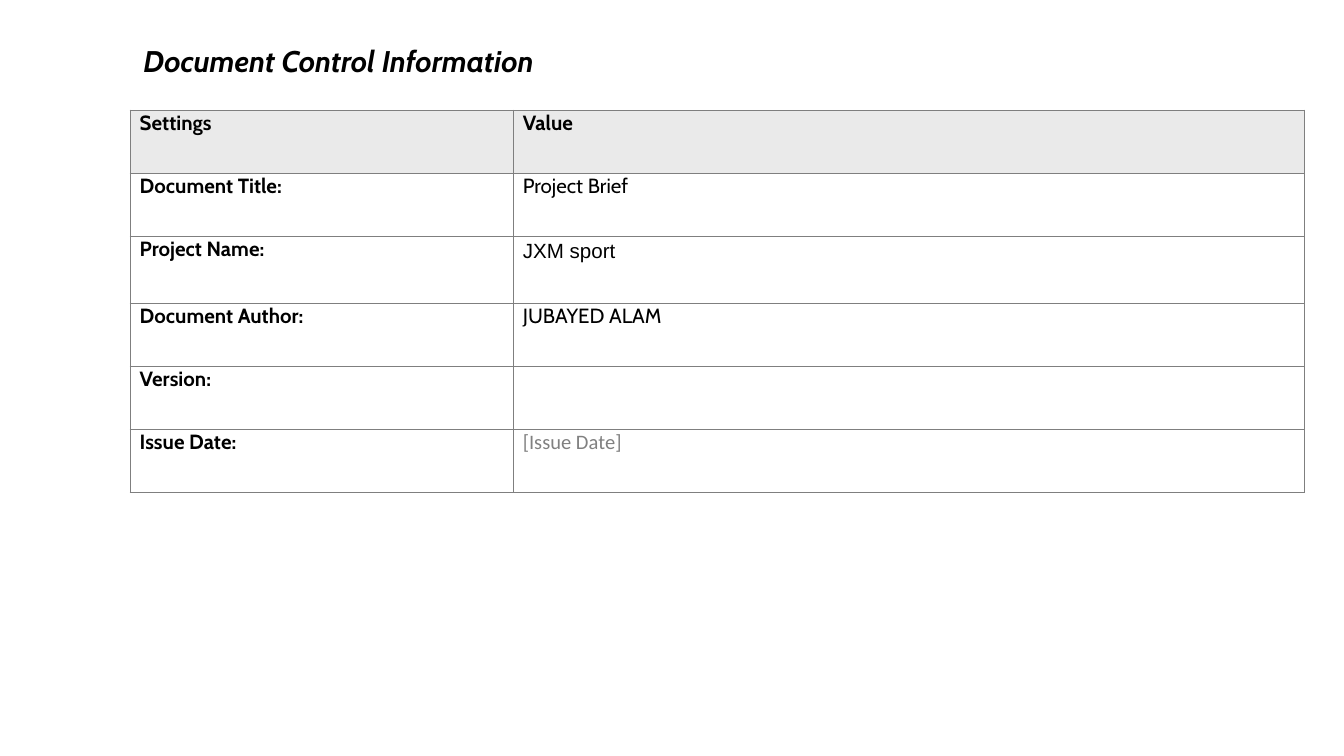
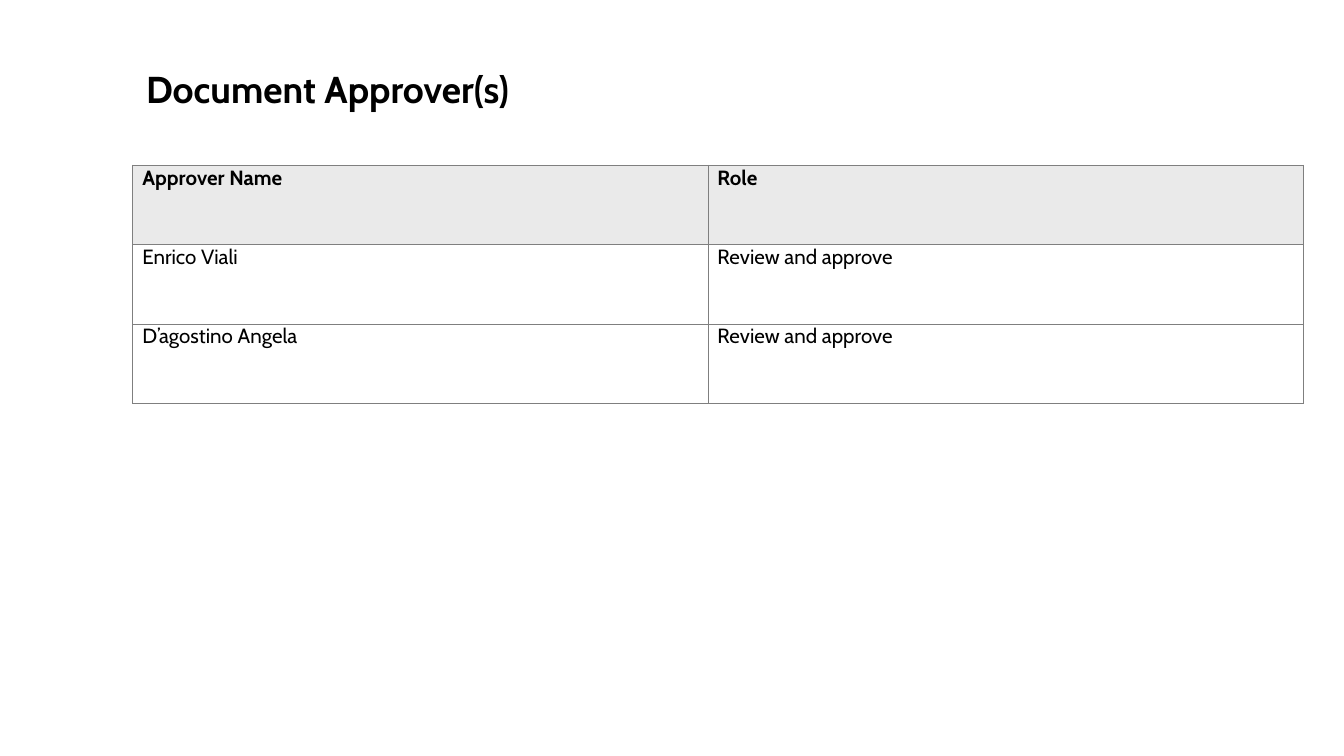
from lxml import etree
from pptx import Presentation
from pptx.dml.color import RGBColor
from pptx.enum.text import MSO_ANCHOR, MSO_AUTO_SIZE, PP_ALIGN
from pptx.oxml.ns import qn
from pptx.util import Cm, Pt

LEFT, JUSTIFY = PP_ALIGN.LEFT, PP_ALIGN.JUSTIFY
MIDDLE, NO_FIT = MSO_ANCHOR.MIDDLE, MSO_AUTO_SIZE.NONE
BLACK = RGBColor(0x00, 0x00, 0x00)
HINT_GREY = RGBColor(0x80, 0x80, 0x80)
HEADER_GREY = RGBColor(0xEA, 0xEA, 0xEA)
BORDER_GREY = RGBColor(0x7F, 0x7F, 0x7F)
TITLE_ONLY = 5
SIDES = ("left", "top", "right", "bottom")

# Content: positions in cm, the first table row is the header
PAGES = [
    {
        "title": "Document Control Information",
        "title_area": (2.46, 0.25, 10.01, 1.8),
        "title_font": {"size": Pt(16), "italic": True},
        "table_at": (2.46, 2.08),
        "columns": (7.24, 14.96),
        "row_heights": (1.19, 1.19, 1.27, 1.19, 1.19, 1.19),
        "bold_labels": True,
        "rows": [
            ("Settings", "Value"),
            ("Document Title:", "Project Brief"),
            ("Project Name:", "JXM sport"),
            ("Document Author:", "JUBAYED ALAM"),
            ("Version:", ""),
            ("Issue Date:", "[Issue Date]"),
        ],
        "special": {
            (2, 1): ({"name": "Arial"}, {"alignment": LEFT, "line_spacing": 1.15}),
            (5, 1): ({"name": "Calibri", "color": HINT_GREY}, {}),
        },
    },
    {
        "title": "Document Approver(s)",
        "title_area": (2.51, 0.51, 8.76, 2.31),
        "title_font": {"size": Pt(20), "italic": False},
        "table_at": (2.51, 3.12),
        "columns": (10.87, 11.25),
        "row_heights": (1.5, 1.5, 1.5),
        "bold_labels": False,
        "rows": [
            ("Approver Name", "Role"),
            ("Enrico Viali", "Review and approve"),
            ("D’agostino Angela", "Review and approve"),
        ],
        "special": {},
    },
]


def write(para, text, font, layout):
    """Put one formatted span into a paragraph."""
    for name, value in layout.items():
        setattr(para, name, value)
    span = para.add_run()
    span.text = text
    for name, value in {"name": "Cabin", "color": BLACK, **font}.items():
        if name == "color":
            span.font.color.rgb = value
        else:
            setattr(span.font, name, value)


def add_borders(cell):
    """Draw a thin grey line on all four sides of a cell."""
    properties = cell._tc.get_or_add_tcPr()
    for side in ("a:lnL", "a:lnR", "a:lnT", "a:lnB"):
        line = etree.SubElement(properties, qn(side), w=str(Pt(0.5)))
        fill = etree.SubElement(line, qn("a:solidFill"))
        etree.SubElement(fill, qn("a:srgbClr"), val=str(BORDER_GREY))


deck = Presentation()
deck.slide_width, deck.slide_height = Cm(25.4), Cm(14.28)

for content in PAGES:
    page = deck.slides.add_slide(deck.slide_layouts[TITLE_ONLY])

    # Title
    title = page.shapes.title
    title.left, title.top, title.width, title.height = map(Cm, content["title_area"])
    frame = title.text_frame
    frame.word_wrap = True
    frame.auto_size = NO_FIT
    frame.vertical_anchor = MIDDLE
    for side in SIDES:
        setattr(frame, f"margin_{side}", Cm(0.25))
    write(frame.paragraphs[0], content["title"],
          {"bold": True, **content["title_font"]}, {"alignment": LEFT})

    # Table grid
    rows, columns, heights = content["rows"], content["columns"], content["row_heights"]
    left, top = content["table_at"]
    table = page.shapes.add_table(
        len(rows), len(columns), Cm(left), Cm(top), Cm(sum(columns)), Cm(sum(heights))
    ).table
    table.horz_banding = False
    for column, width in zip(table.columns, columns):
        column.width = Cm(width)
    for row, height in zip(table.rows, heights):
        row.height = Cm(height)

    # Table cells
    for row_index, texts in enumerate(rows):
        for column_index, text in enumerate(texts):
            cell = table.cell(row_index, column_index)
            for side, margin in zip(SIDES, (0.18, 0, 0.18, 0)):
                setattr(cell, f"margin_{side}", Cm(margin))
            add_borders(cell)
            is_header = row_index == 0
            if is_header:
                cell.fill.solid()
                cell.fill.fore_color.rgb = HEADER_GREY
            else:
                cell.fill.background()
            if text:
                bold = is_header or (content["bold_labels"] and column_index == 0)
                font, layout = content["special"].get((row_index, column_index), ({}, {}))
                write(cell.text_frame.paragraphs[0], text,
                      {"size": Pt(11), "bold": bold, **font},
                      {"alignment": JUSTIFY, **layout})

deck.save("out.pptx")
